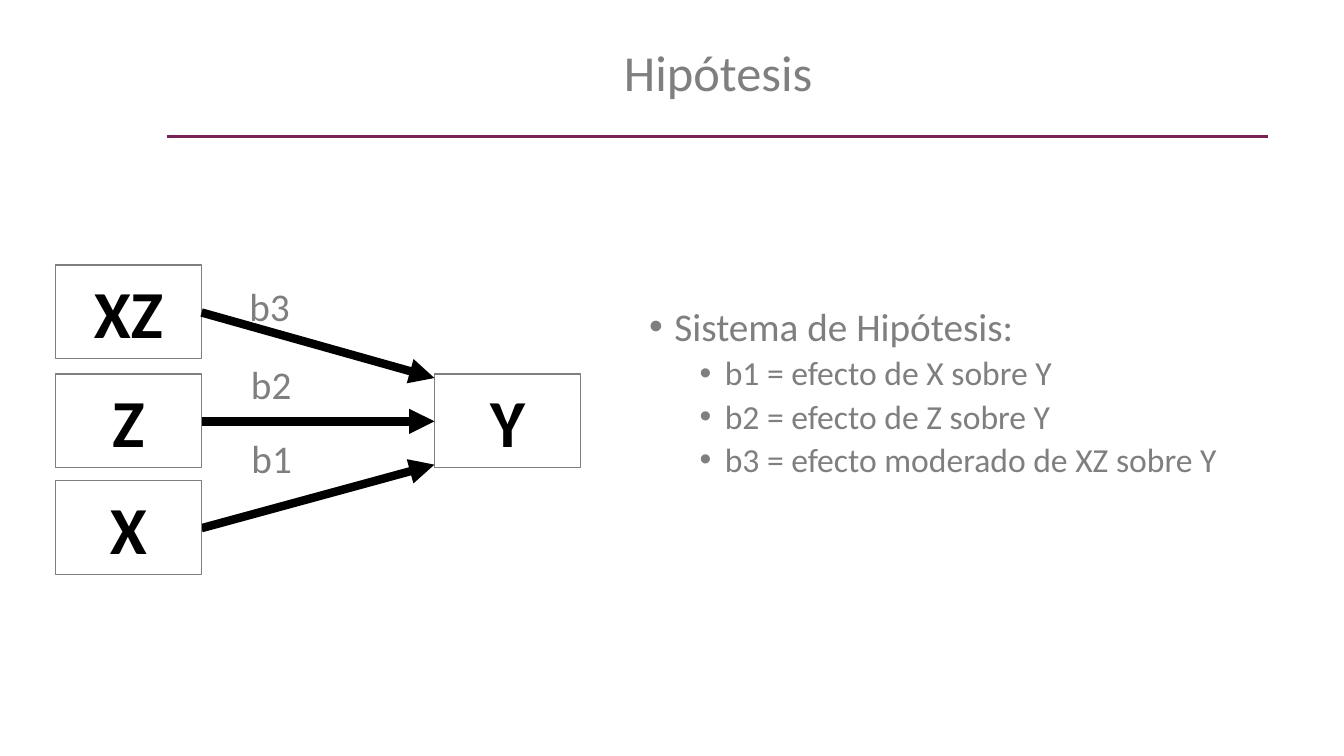
import dataclasses

import lxml.etree
import pptx
import pptx.dml.color
import pptx.enum.shapes
import pptx.enum.text
import pptx.oxml.ns
import pptx.util

SLIDE_WIDTH = pptx.util.Inches(13.33)
SLIDE_HEIGHT = pptx.util.Inches(7.5)
COLUMNS, ROWS = 80, 45
NODE_WIDTH, NODE_HEIGHT = 8.7, 5.58
CAUSE_LEFT, EFFECT_LEFT = 3.3, 25.86
CAUSE_RIGHT = CAUSE_LEFT + NODE_WIDTH
LABEL_HEIGHT = 3.42


@dataclasses.dataclass(frozen=True)
class Theme:
    font: str = "Calibri"
    gray: str = "7F7F7F"
    black: str = "000000"
    white: str = "FFFFFF"
    plum: str = "7A2255"
    title_size: int = 36
    text_size: int = 28
    detail_size: int = 24
    node_size: int = 48
    rule_width: float = 2.25
    border_width: float = 1
    arrow_width: float = 6


@dataclasses.dataclass(frozen=True)
class Area:
    column: float
    row: float
    columns: float
    rows: float


@dataclasses.dataclass(frozen=True)
class Node:
    name: str
    column: float
    row: float


@dataclasses.dataclass(frozen=True)
class Effect:
    label: str
    area: Area
    start_row: float
    end_row: float


@dataclasses.dataclass(frozen=True)
class Hypothesis:
    text: str
    level: int
    size: int
    indent: float
    space_before: float


THEME = Theme()
TITLE_AREA = Area(10.98, 1.56, 63.54, 5.82)
BODY_AREA = Area(38.04, 18, 36.48, 14.04)
BACK_NODES = (
    Node("XZ", CAUSE_LEFT, 15.78),
    Node("Z", CAUSE_LEFT, 22.26),
    Node("Y", EFFECT_LEFT, 22.26),
)
FRONT_NODE = Node("X", CAUSE_LEFT, 28.62)
EFFECTS = (
    Effect("b3", Area(14.22, 16.5, 3.66, LABEL_HEIGHT), 18.6, 22.5),
    Effect("b2", Area(13.74, 21.18, 4.8, LABEL_HEIGHT), 25.08, 25.08),
    Effect("b1", Area(14.22, 25.56, 3.9, LABEL_HEIGHT), 31.44, 27.66),
)
HYPOTHESES = (
    Hypothesis("Sistema de Hipótesis:", 0, THEME.text_size, 0.25, 10),
    *(
        Hypothesis(text, 1, THEME.detail_size, 0.75, 5)
        for text in (
            "b1 = efecto de X sobre Y",
            "b2 = efecto de Z sobre Y",
            "b3 = efecto moderado de XZ sobre Y",
        )
    ),
)


def x(columns: float) -> int:
    return round(SLIDE_WIDTH * columns / COLUMNS)


def y(rows: float) -> int:
    return round(SLIDE_HEIGHT * rows / ROWS)


def box(area: Area) -> tuple[int, int, int, int]:
    return x(area.column), y(area.row), x(area.columns), y(area.rows)


def rgb(color: str) -> pptx.dml.color.RGBColor:
    return pptx.dml.color.RGBColor.from_string(color)


def style(paragraph, size: float, color: str, bold: bool = False) -> None:
    paragraph.font.name = THEME.font
    paragraph.font.size = pptx.util.Pt(size)
    paragraph.font.color.rgb = rgb(color)
    paragraph.font.bold = bold


def center(frame, text: str, size: float, color: str, bold: bool = False) -> None:
    frame.text = text
    frame.word_wrap = True
    paragraph = frame.paragraphs[0]
    paragraph.alignment = pptx.enum.text.PP_ALIGN.CENTER
    style(paragraph, size, color, bold)


def place(placeholder, area: Area) -> None:
    placeholder.left, placeholder.top, placeholder.width, placeholder.height = box(area)
    placeholder.text_frame.auto_size = pptx.enum.text.MSO_AUTO_SIZE.NONE


def draw_line(slide, start: tuple, end: tuple, color: str, width: float):
    line = slide.shapes.add_connector(
        pptx.enum.shapes.MSO_CONNECTOR.STRAIGHT,
        x(start[0]), y(start[1]), x(end[0]), y(end[1]),
    )
    line.line.color.rgb = rgb(color)
    line.line.width = pptx.util.Pt(width)
    lxml.etree.SubElement(line._element.spPr, pptx.oxml.ns.qn("a:effectLst"))
    return line


def draw_node(slide, node: Node) -> None:
    shape = slide.shapes.add_shape(
        pptx.enum.shapes.MSO_SHAPE.RECTANGLE,
        *box(Area(node.column, node.row, NODE_WIDTH, NODE_HEIGHT)),
    )
    shape.shadow.inherit = False
    shape.fill.solid()
    shape.fill.fore_color.rgb = rgb(THEME.white)
    shape.line.color.rgb = rgb(THEME.gray)
    shape.line.width = pptx.util.Pt(THEME.border_width)
    shape.text_frame.vertical_anchor = pptx.enum.text.MSO_ANCHOR.MIDDLE
    center(shape.text_frame, node.name, THEME.node_size, THEME.black, True)


def draw_arrow(slide, effect: Effect) -> None:
    arrow = draw_line(
        slide, (CAUSE_RIGHT, effect.start_row), (EFFECT_LEFT, effect.end_row),
        THEME.black, THEME.arrow_width,
    )
    outline = arrow.line._get_or_add_ln()
    lxml.etree.SubElement(outline, pptx.oxml.ns.qn("a:tailEnd"), type="triangle")


def draw_label(slide, effect: Effect) -> None:
    frame = slide.shapes.add_textbox(*box(effect.area)).text_frame
    frame.margin_left = frame.margin_right = 0
    center(frame, effect.label, THEME.text_size, THEME.gray)


def write_title(title) -> None:
    place(title, TITLE_AREA)
    title.text_frame.vertical_anchor = pptx.enum.text.MSO_ANCHOR.MIDDLE
    center(title.text_frame, "Hipótesis", THEME.title_size, THEME.gray)
    title.text_frame.paragraphs[0].line_spacing = 0.9


def write_hypotheses(body) -> None:
    place(body, BODY_AREA)
    body.text_frame.text = "\n".join(item.text for item in HYPOTHESES)
    for paragraph, item in zip(body.text_frame.paragraphs, HYPOTHESES):
        paragraph.level = item.level
        paragraph.line_spacing = 0.9
        paragraph.space_before = pptx.util.Pt(item.space_before)
        properties = paragraph._p.get_or_add_pPr()
        properties.set("marL", str(pptx.util.Inches(item.indent)))
        properties.set("indent", str(pptx.util.Inches(-0.25)))
        lxml.etree.SubElement(properties, pptx.oxml.ns.qn("a:buFont"), typeface="Arial")
        lxml.etree.SubElement(properties, pptx.oxml.ns.qn("a:buChar"), char="•")
        style(paragraph, item.size, THEME.gray)


def main() -> None:
    deck = pptx.Presentation()
    deck.slide_width, deck.slide_height = SLIDE_WIDTH, SLIDE_HEIGHT
    slide = deck.slides.add_slide(deck.slide_layouts[1])
    draw_line(slide, (9.96, 8.1), (75.48, 8.1), THEME.plum, THEME.rule_width)
    write_title(slide.shapes.title)
    write_hypotheses(slide.placeholders[1])
    for node in BACK_NODES:
        draw_node(slide, node)
    for effect in EFFECTS:
        draw_arrow(slide, effect)
    for effect in EFFECTS:
        draw_label(slide, effect)
    draw_node(slide, FRONT_NODE)
    deck.save("out.pptx")


if __name__ == "__main__":
    main()
